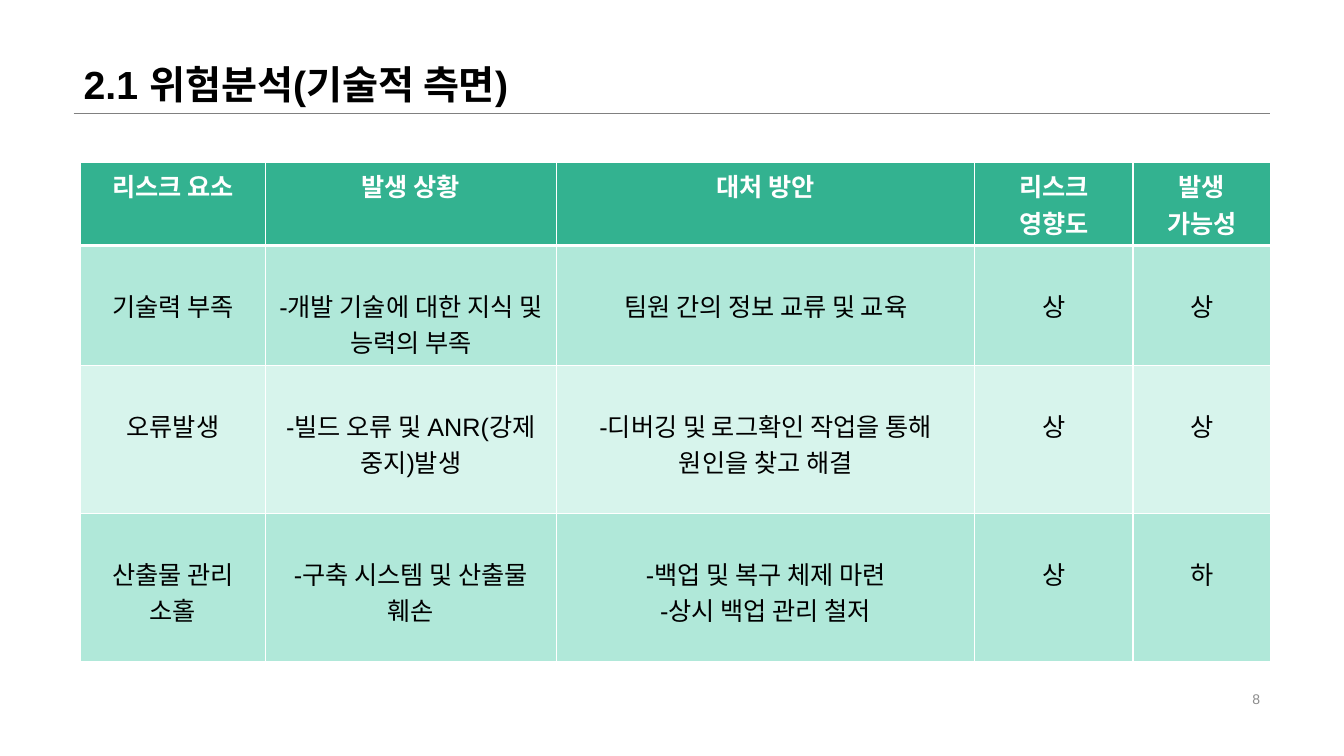
from lxml import etree
from pptx import Presentation
from pptx import util as u
from pptx.dml import color
from pptx.enum import shapes, text
from pptx.oxml import ns

Pt = u.Pt
FONT = "Arial"
WHITE, BLACK = "FFFFFF", "000000"
HEADER_GREEN = "33B290"
BANDS = ["B0E8D9", "D7F4EC"]
LINE_HEIGHT = 26

HEADINGS = ["리스크 요소", "발생 상황", "대처 방안", "리스크 영향도", "발생 가능성"]
RISKS = [
    ["기술력 부족", "-개발 기술에 대한 지식 및 능력의 부족",
     "팀원 간의 정보 교류 및 교육", "상", "상"],
    ["오류발생", "-빌드 오류 및 ANR(강제 중지)발생",
     "-디버깅 및 로그확인 작업을 통해 원인을 찾고 해결", "상", "상"],
    ["산출물 관리 소홀", "-구축 시스템 및 산출물 훼손",
     "-백업 및 복구 체제 마련\n-상시 백업 관리 철저", "상", "하"],
]
COLUMN_WIDTHS = [131.8, 208.1, 298.8, 113, 98.6]
ROW_HEIGHTS = [46, 85.7, 105.8, 105.8]


def rgb(hex_string):
    return color.RGBColor.from_string(hex_string)


def write(frame, wording, size=18, ink=BLACK, bold=False,
          align=text.PP_ALIGN.CENTER, spacing=None):
    """Fill a text frame, one paragraph per line of wording."""
    for index, line in enumerate(wording.split("\n")):
        paragraph = frame.add_paragraph() if index else frame.paragraphs[0]
        paragraph.alignment = align
        if spacing:
            paragraph.line_spacing = spacing
        run = paragraph.add_run()
        run.text = line
        run.font.name = FONT
        run.font.size = Pt(size)
        run.font.bold = bold
        run.font.color.rgb = rgb(ink)


def set_borders(cell, **widths):
    """Give the cell white borders; widths are in points by side."""
    properties = cell._tc.get_or_add_tcPr()
    for side in "LRTB":
        border = etree.SubElement(properties, ns.qn(f"a:ln{side}"),
                                  w=str(Pt(widths.get(side, 1))))
        fill = etree.SubElement(border, ns.qn("a:solidFill"))
        etree.SubElement(fill, ns.qn("a:srgbClr"), val=WHITE)


def add_heading(slide, left, top, width, height, rule_width):
    # Title
    title = slide.shapes.title
    title.left, title.top = Pt(left), Pt(top)
    title.width, title.height = Pt(width), Pt(height)
    frame = title.text_frame
    frame.auto_size = text.MSO_AUTO_SIZE.NONE
    frame.vertical_anchor = text.MSO_ANCHOR.BOTTOM
    write(frame, "2.1 위험분석(기술적 측면)", size=28, bold=True,
          align=text.PP_ALIGN.LEFT, spacing=0.9)

    # Rule under the title
    bottom = Pt(top + height)
    rule = slide.shapes.add_connector(shapes.MSO_CONNECTOR.STRAIGHT, Pt(left),
                                      bottom, Pt(left + rule_width), bottom)
    rule.line.color.rgb = rgb("808080")
    rule.line.width = Pt(0.25)
    etree.SubElement(rule._element.spPr, ns.qn("a:effectLst"))


def add_risk_table(slide, left, top):
    rows = [HEADINGS] + RISKS
    risk_table = slide.shapes.add_table(
        len(rows), len(HEADINGS), Pt(left), Pt(top),
        Pt(sum(COLUMN_WIDTHS)), Pt(sum(ROW_HEIGHTS))).table
    for column, width in zip(risk_table.columns, COLUMN_WIDTHS):
        column.width = Pt(width)
    for r, (row, height) in enumerate(zip(rows, ROW_HEIGHTS)):
        risk_table.rows[r].height = Pt(height)
        for c, wording in enumerate(row):
            cell = risk_table.cell(r, c)
            is_header = r == 0
            set_borders(cell, T=3 if r == 1 else 1, B=3 if is_header else 1)
            cell.fill.solid()
            cell.fill.fore_color.rgb = rgb(
                HEADER_GREEN if is_header else BANDS[(r - 1) % 2])
            # Body text starts one line below the cell's top
            cell.margin_top = Pt(3.6 if is_header else 3.6 + LINE_HEIGHT)
            write(cell.text_frame, wording, bold=is_header,
                  ink=WHITE if is_header else BLACK)


def add_page_number(slide, left, top, width, height):
    number = slide.shapes.add_textbox(Pt(left), Pt(top), Pt(width), Pt(height))
    frame = number.text_frame
    frame.word_wrap = True
    frame.vertical_anchor = text.MSO_ANCHOR.MIDDLE
    write(frame, "8", size=10, ink="8C8C8C", align=text.PP_ALIGN.RIGHT)


def main():
    deck = Presentation()
    deck.slide_width, deck.slide_height = Pt(960), Pt(540)
    slide = deck.slides.add_slide(deck.slide_layouts.get_by_name("Title Only"))
    add_heading(slide, 52.6, 38.9, 404.6, 41.8, rule_width=854.6)
    add_risk_table(slide, 57.6, 116)
    add_page_number(slide, 678.2, 491, 229, 16.6)
    deck.save("out.pptx")


if __name__ == "__main__":
    main()
